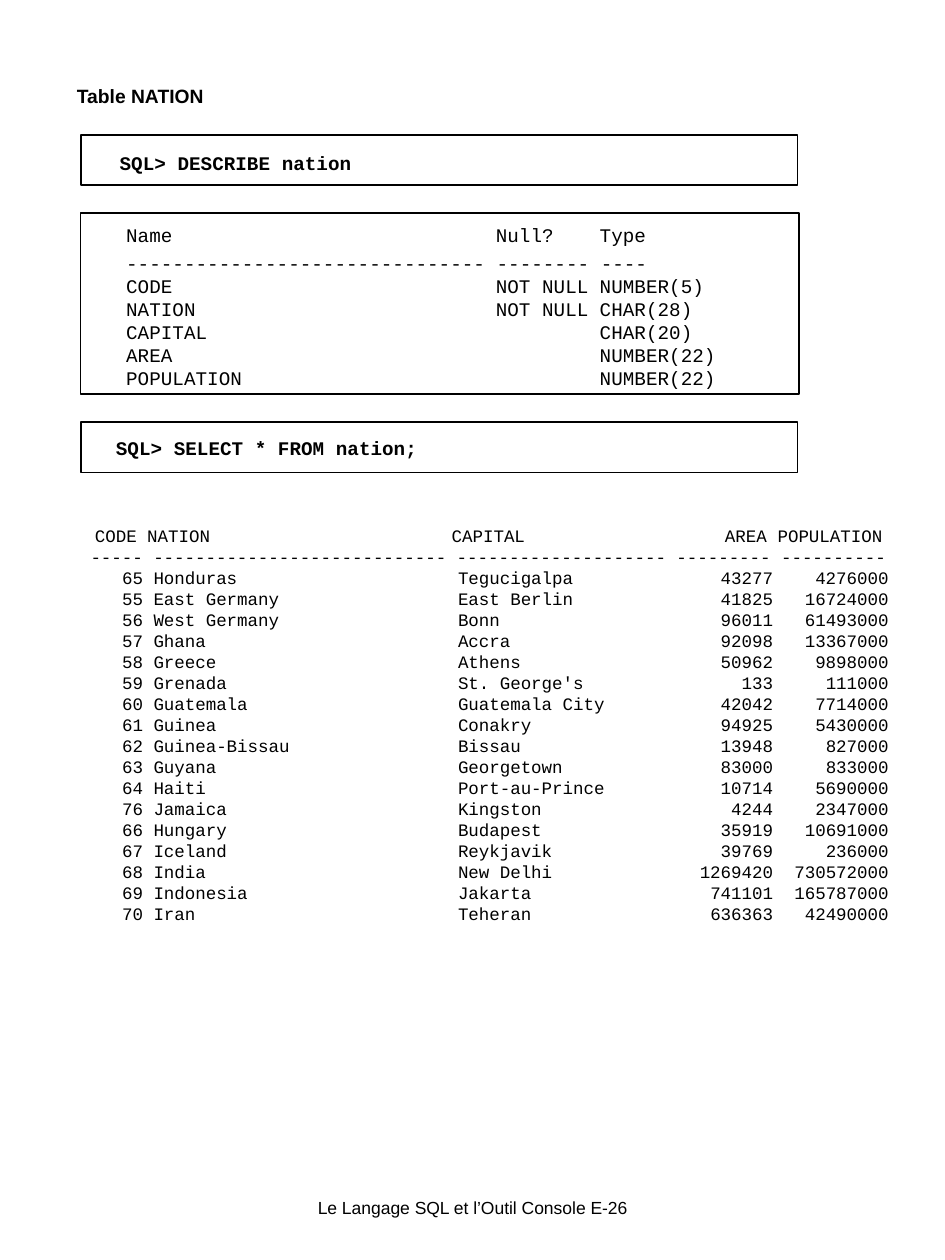
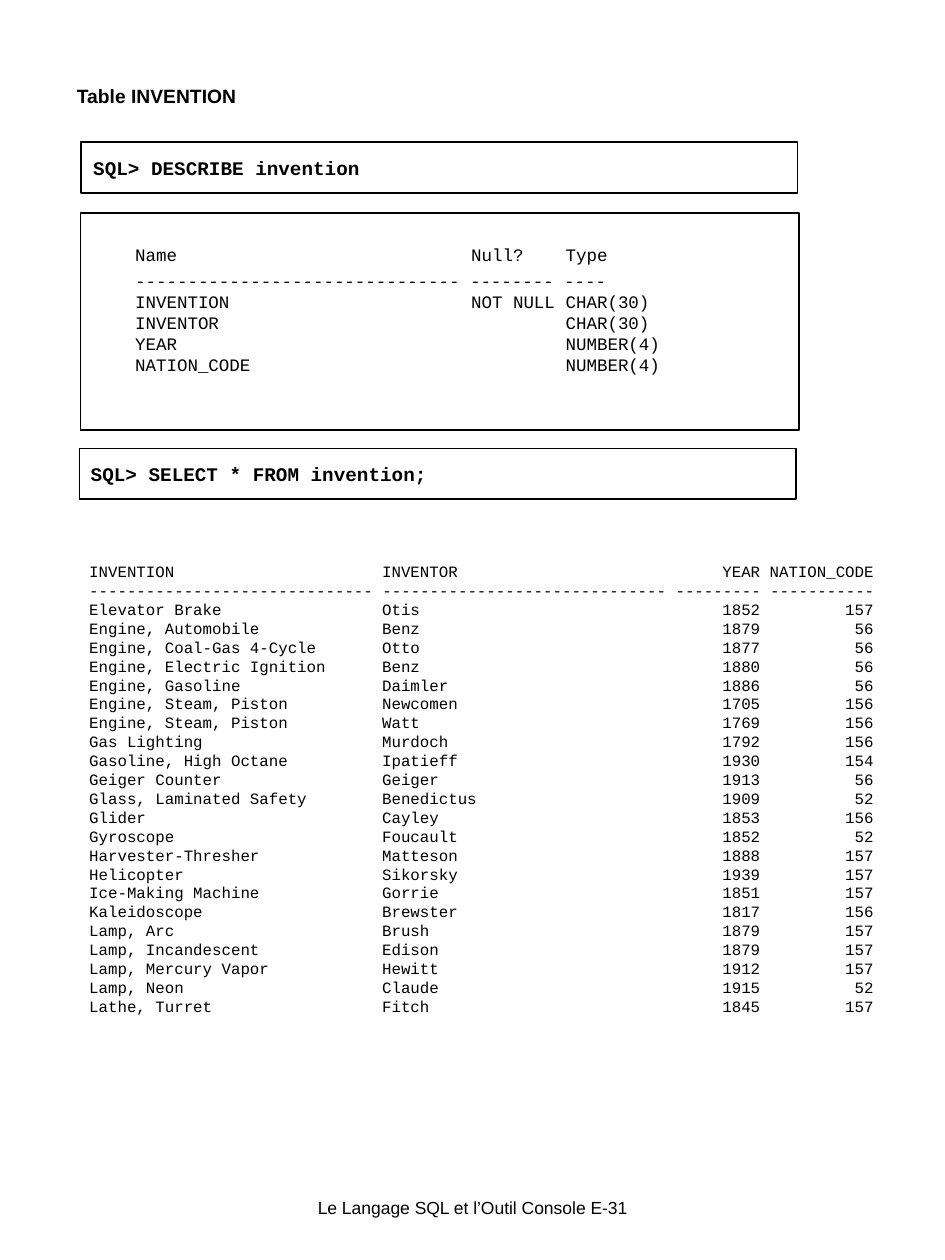
from dataclasses import dataclass

from lxml import etree
from pptx import Presentation
from pptx.dml.color import RGBColor
from pptx.enum.shapes import MSO_SHAPE
from pptx.enum.text import PP_ALIGN
from pptx.oxml.ns import qn
from pptx.util import Inches, Pt

RECTANGLE = MSO_SHAPE.RECTANGLE
CENTER = PP_ALIGN.CENTER


@dataclass(frozen=True)
class Theme:
    ink: RGBColor = RGBColor(0, 0, 0)
    sans: str = "Arial"
    mono: str = "Courier New"
    title: int = 11
    command: int = 11
    footer: int = 10
    frame_line: int = 1
    mono_advance: float = 0.6   # character width, in ems
    mono_leading: float = 1.2   # line pitch, in ems
    header_gap: float = 2.8
    inset: float = 0.1
    command_inset: float = 0.32


THEME = Theme()
WIDTH, HEIGHT = 7.5, 10
FOOTER = "Le Langage SQL et l’Outil Console E-{}"
FOOTER_BOX = (0.85, 9.5, 5.8, 0.17)

# A listing column is (heading, width in characters, alignment).
SCHEMA_COLUMNS = [("Name", 31, "l"), ("Null?", 8, "l"), ("Type", 4, "l")]

# Boxes are (left, top, width, height) in inches.
PAGES = [
    {
        "title": "Table NATION",
        "title_box": (0.52, 0.61, 5.84, 8.48),
        "number": 26,
        "frames": [(0.64, 1.07, 5.69, 0.4), (0.64, 1.69, 5.7, 1.44),
                   (0.64, 3.35, 5.69, 0.4)],
        "commands": [
            ("SQL> DESCRIBE nation", (0.63, 1.15, 4.85, 0.42)),
            ("SQL> SELECT * FROM nation;", (0.6, 3.41, 5.69, 0.27)),
        ],
        "schema": {
            "box": (0.81, 1.52, 4.99, 1.6), "size": 11, "top_inset": 0.25,
            "indent": 1, "header_gap": THEME.header_gap,
            "columns": SCHEMA_COLUMNS,
            "rows": [
                ("CODE", "NOT NULL", "NUMBER(5)"),
                ("NATION", "NOT NULL", "CHAR(28)"),
                ("CAPITAL", "", "CHAR(20)"),
                ("AREA", "", "NUMBER(22)"),
                ("POPULATION", "", "NUMBER(22)"),
            ],
        },
        "result": {
            "box": (0.62, 4.11, 6.51, 3.27), "size": 10, "top_inset": 0.06,
            "header_shift": -0.05,
            "columns": [("CODE", 5, "r"), ("NATION", 28, "l"),
                        ("CAPITAL", 20, "l"), ("AREA", 9, "r"),
                        ("POPULATION", 10, "r")],
            "rows": [
                (65, "Honduras", "Tegucigalpa", 43277, 4276000),
                (55, "East Germany", "East Berlin", 41825, 16724000),
                (56, "West Germany", "Bonn", 96011, 61493000),
                (57, "Ghana", "Accra", 92098, 13367000),
                (58, "Greece", "Athens", 50962, 9898000),
                (59, "Grenada", "St. George's", 133, 111000),
                (60, "Guatemala", "Guatemala City", 42042, 7714000),
                (61, "Guinea", "Conakry", 94925, 5430000),
                (62, "Guinea-Bissau", "Bissau", 13948, 827000),
                (63, "Guyana", "Georgetown", 83000, 833000),
                (64, "Haiti", "Port-au-Prince", 10714, 5690000),
                (76, "Jamaica", "Kingston", 4244, 2347000),
                (66, "Hungary", "Budapest", 35919, 10691000),
                (67, "Iceland", "Reykjavik", 39769, 236000),
                (68, "India", "New Delhi", 1269420, 730572000),
                (69, "Indonesia", "Jakarta", 741101, 165787000),
                (70, "Iran", "Teheran", 636363, 42490000),
            ],
        },
    },
    {
        "title": "Table INVENTION",
        "title_box": (0.52, 0.61, 6.24, 8.5),
        "number": 31,
        "frames": [(0.64, 1.13, 5.69, 0.4), (0.64, 1.69, 5.7, 1.72),
                   (0.63, 3.56, 5.69, 0.4)],
        "commands": [
            ("SQL> DESCRIBE invention", (0.42, 1.19, 2.97, 0.28)),
            ("SQL> SELECT * FROM invention;", (0.4, 3.62, 3.52, 0.28)),
        ],
        "schema": {
            "box": (0.89, 1.68, 4.44, 1.34), "size": 10, "top_inset": 0.26,
            "indent": 1, "header_gap": THEME.header_gap,
            "columns": SCHEMA_COLUMNS,
            "rows": [
                ("INVENTION", "NOT NULL", "CHAR(30)"),
                ("INVENTOR", "", "CHAR(30)"),
                ("YEAR", "", "NUMBER(4)"),
                ("NATION_CODE", "", "NUMBER(4)"),
            ],
        },
        "result": {
            "box": (0.61, 4.25, 6.43, 3.86), "size": 9, "top_inset": 0.21,
            "columns": [("INVENTION", 30, "l"), ("INVENTOR", 30, "l"),
                        ("YEAR", 9, "r"), ("NATION_CODE", 11, "r")],
            "rows": [
                ("Elevator Brake", "Otis", 1852, 157),
                ("Engine, Automobile", "Benz", 1879, 56),
                ("Engine, Coal-Gas 4-Cycle", "Otto", 1877, 56),
                ("Engine, Electric Ignition", "Benz", 1880, 56),
                ("Engine, Gasoline", "Daimler", 1886, 56),
                ("Engine, Steam, Piston", "Newcomen", 1705, 156),
                ("Engine, Steam, Piston", "Watt", 1769, 156),
                ("Gas Lighting", "Murdoch", 1792, 156),
                ("Gasoline, High Octane", "Ipatieff", 1930, 154),
                ("Geiger Counter", "Geiger", 1913, 56),
                ("Glass, Laminated Safety", "Benedictus", 1909, 52),
                ("Glider", "Cayley", 1853, 156),
                ("Gyroscope", "Foucault", 1852, 52),
                ("Harvester-Thresher", "Matteson", 1888, 157),
                ("Helicopter", "Sikorsky", 1939, 157),
                ("Ice-Making Machine", "Gorrie", 1851, 157),
                ("Kaleidoscope", "Brewster", 1817, 156),
                ("Lamp, Arc", "Brush", 1879, 157),
                ("Lamp, Incandescent", "Edison", 1879, 157),
                ("Lamp, Mercury Vapor", "Hewitt", 1912, 157),
                ("Lamp, Neon", "Claude", 1915, 52),
                ("Lathe, Turret", "Fitch", 1845, 157),
            ],
        },
    },
]


def add_text_frame(s, box, left=0, top=0):
    tf = s.shapes.add_textbox(*map(Inches, box)).text_frame
    tf.word_wrap = True
    tf.margin_left, tf.margin_top = Inches(left), Inches(top)
    tf.margin_right = tf.margin_bottom = 0
    return tf


def style(p, size, font, bold=False):
    p.font.size, p.font.name, p.font.bold = Pt(size), font, bold
    p.font.color.rgb = THEME.ink
    if font == THEME.mono:
        p.line_spacing = Pt(round(size * THEME.mono_leading, 1))


def add_tabs(p, stops):
    tab_list = etree.SubElement(p._p.get_or_add_pPr(), qn("a:tabLst"))
    for position, align in stops:
        etree.SubElement(tab_list, qn("a:tab"),
                         pos=str(Inches(position)), algn=align)


def tab_stops(columns, advance, shift):
    """Left columns stop at their first character, right ones after their last."""
    stops, start = [], 0
    for i, (_, width, align) in enumerate(columns):
        if i or align == "r":
            edge = start + (width if align == "r" else 0)
            stops.append((edge * advance + shift, align))
        start += width + 1
    return stops


def add_listing(s, box, size, top_inset, columns, rows,
                indent=0, header_gap=0, header_shift=0):
    advance = size * THEME.mono_advance / 72
    tf = add_text_frame(s, box, THEME.inset + indent * advance, top_inset)
    lead = "\t" if columns[0][2] == "r" else ""
    headings, widths, _ = zip(*columns)
    dashes = " ".join("-" * width for width in widths)
    lines = [lead + "\t".join(map(str, row)) for row in [headings, *rows]]
    lines.insert(1, dashes)
    for i, line in enumerate(lines):
        p = tf.add_paragraph() if i else tf.paragraphs[0]
        if line != dashes:
            add_tabs(p, tab_stops(columns, advance, 0 if i else header_shift))
        p.add_run().text = line
        style(p, size, THEME.mono)
    tf.paragraphs[0].space_after = Pt(header_gap)


def add_frame(s, box):
    sp = s.shapes.add_shape(RECTANGLE, *map(Inches, box))
    sp.shadow.inherit = False
    sp.fill.background()
    sp.line.color.rgb = THEME.ink
    sp.line.width = Pt(THEME.frame_line)


def add_line(s, text, box, size, font, bold=False, left=0, top=0):
    p = add_text_frame(s, box, left, top).paragraphs[0]
    p.text = text
    style(p, size, font, bold)
    return p


def build_page(prs, page):
    s = prs.slides.add_slide(prs.slide_layouts[6])
    add_line(s, FOOTER.format(page["number"]), FOOTER_BOX,
             THEME.footer, THEME.sans).alignment = CENTER
    add_line(s, page["title"], page["title_box"], THEME.title, THEME.sans,
             True, 0.09, 0.04).line_spacing = 1.1
    for box in page["frames"]:
        add_frame(s, box)
    for text, box in page["commands"]:
        add_line(s, text, box, THEME.command, THEME.mono, True,
                 THEME.command_inset, 0.05)
    add_listing(s, **page["schema"])
    add_listing(s, **page["result"])


def main():
    prs = Presentation()
    prs.slide_width, prs.slide_height = Inches(WIDTH), Inches(HEIGHT)
    for page in PAGES:
        build_page(prs, page)
    prs.save("out.pptx")


if __name__ == "__main__":
    main()
